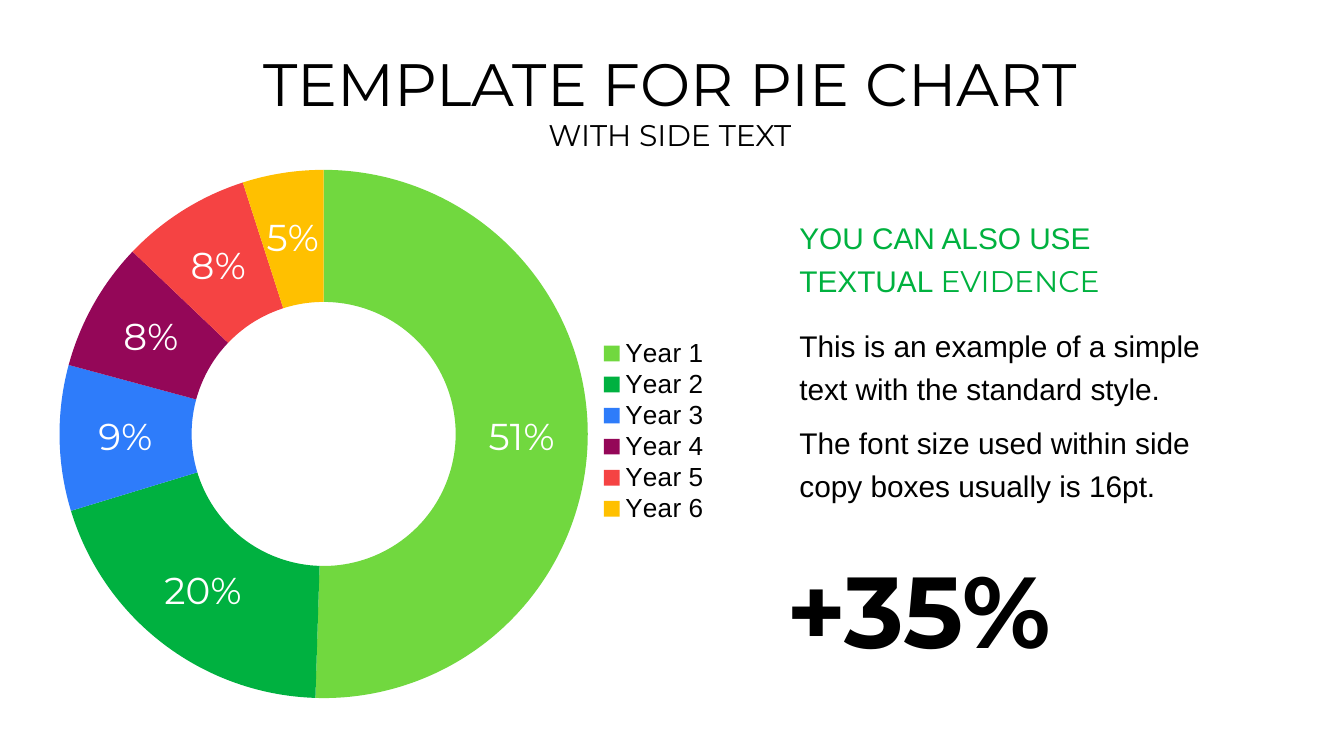
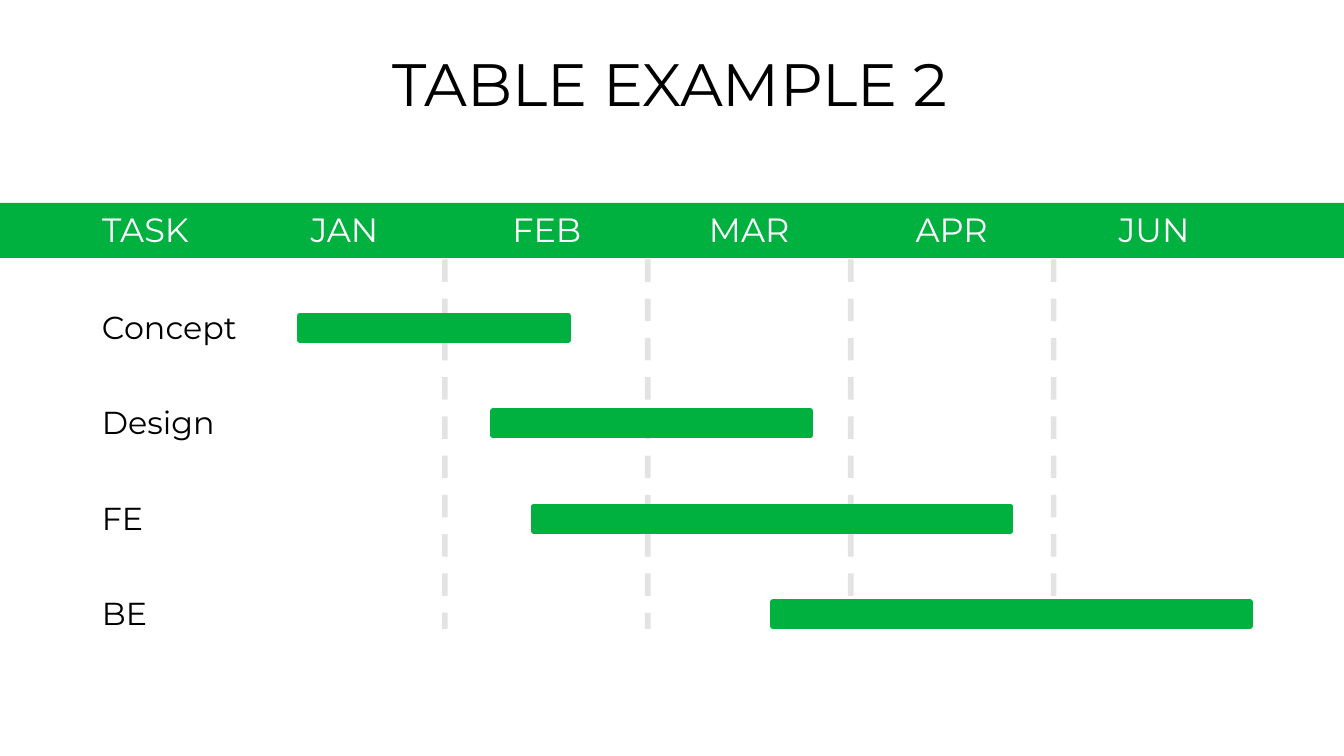
from pptx import Presentation
from pptx.chart.data import CategoryChartData
from pptx.dml.color import RGBColor
from pptx.enum.chart import XL_CHART_TYPE, XL_LEGEND_POSITION
from pptx.enum.dml import MSO_LINE
from pptx.enum.shapes import MSO_CONNECTOR, MSO_SHAPE
from pptx.enum.text import MSO_ANCHOR, MSO_AUTO_SIZE, PP_ALIGN
from pptx.oxml import parse_xml
from pptx.oxml.ns import nsdecls, qn
from pptx.util import Inches, Pt
from lxml.etree import SubElement

GREEN, BLACK, WHITE, GREY = "00B140", "000000", "FFFFFF", "595959"
SANS, HEAD = "Arial", "Montserrat"
WIDE = 10
TITLE = (0.63, 0.45, 8.71, 0.29)
PLAIN = "{2D5ABB26-0587-4C30-8999-92F81FD0307C}"


def color(code):
    return RGBColor.from_string(code)


def put(item, values):
    for name, value in values.items():
        setattr(item, name, value)


def style(font, size, tint=BLACK, face=HEAD, bold=False):
    put(font, {"size": Pt(size), "name": face, "bold": bold})
    font.color.rgb = color(tint)


def write(para, runs, form):
    put(para, form)
    for words, look in runs:
        run = para.add_run()
        run.text = words
        style(run.font, **look)


def text(slide, box, paras, frame):
    body = slide.shapes.add_textbox(*map(Inches, box)).text_frame
    put(body, {"word_wrap": True, **frame})
    for i, (runs, form) in enumerate(paras):
        para = body.add_paragraph() if i else body.paragraphs[0]
        write(para, runs, form)


def edges(left, top, right, bottom):
    return {"margin_left": Inches(left), "margin_top": Inches(top),
            "margin_right": Inches(right), "margin_bottom": Inches(bottom)}


def title(slide, words, box=TITLE):
    form = {"alignment": PP_ALIGN.CENTER, "line_spacing": 0.8}
    text(slide, box, [([(words, {"size": 32})], form)], edges(0, 0, 0, 0))


def under(slide, words, box):
    frame = {**edges(0, 0, 0, 0), "vertical_anchor": MSO_ANCHOR.MIDDLE}
    form = {"alignment": PP_ALIGN.CENTER}
    text(slide, box, [([(words, {"size": 16})], form)], frame)


def block(slide, box, tint):
    shape = slide.shapes.add_shape(MSO_SHAPE.RECTANGLE, *map(Inches, box))
    shape.shadow.inherit = False
    shape.fill.solid()
    shape.fill.fore_color.rgb = color(tint)
    shape.line.fill.background()
    return shape


def place(part, index, **spots):
    for old in part.findall(qn("c:layout")):
        part.remove(old)
    layout = parse_xml(f"<c:layout {nsdecls('c')}/>")
    manual = SubElement(layout, qn("c:manualLayout"))
    SubElement(manual, qn("c:layoutTarget")).set("val", "inner")
    for axis in "xy":
        SubElement(manual, qn(f"c:{axis}Mode")).set("val", "edge")
    for name, value in spots.items():
        SubElement(manual, qn(f"c:{name}")).set("val", str(value))
    part.insert(index, layout)


def donut(slide, box):
    parts = [(51, "71D83F"), (20, GREEN), (9, "2E7CFA"),
             (8, "940758"), (8, "F54343"), (5, "FFC000")]
    data = CategoryChartData()
    data.categories = [f"Year {i + 1}" for i in range(len(parts))]
    data.add_series("Series 1", [value for value, tint in parts])
    chart = slide.shapes.add_chart(
        XL_CHART_TYPE.DOUGHNUT, *map(Inches, box), data).chart
    put(chart, {"has_title": False, "has_legend": True})
    style(chart.font, 18, face=SANS)
    put(chart.legend, {"position": XL_LEGEND_POSITION.RIGHT,
                       "include_in_layout": False})
    style(chart.legend.font, 14, face=SANS)
    plot = chart.plots[0]
    plot.vary_by_categories = True
    series = plot.series[0]
    for i, (value, tint) in enumerate(parts):
        fill = series.points[i].format.fill
        fill.solid()
        fill.fore_color.rgb = color(tint)
    labels = series.data_labels
    put(labels, {"show_value": True, "number_format": '0"%"',
                 "number_format_is_linked": False})
    style(labels.font, 20, WHITE)
    area = chart._chartSpace.chart.plotArea
    place(area, 0, x=0.05, y=0.03, w=0.72, h=0.94)
    place(chart.legend._element, 1, x=0.76, y=0.33, w=0.2, h=0.33)


def aside(slide, box):
    left, top, width, height = box
    form = {"line_spacing": 1.2}
    gap = {**form, "space_before": Pt(6)}
    lead = {"size": 16, "tint": "00B13F"}
    copy = {"size": 16, "face": SANS}
    text(slide, (left, top + 2.32, 3.06, 1.74),
         [([("+35%", {"size": 54, "bold": True})], form)],
         edges(0, 0.05, 0.1, 0))
    text(slide, box, [
        ([("YOU CAN ALSO USE TEXTUAL ", {**lead, "face": SANS}),
          ("EVIDENCE", lead)], {**form, "space_after": Pt(6)}),
        ([("This is an example of a simple text with the standard style.",
           copy)], gap),
        ([("The font size used within side copy boxes usually is 16pt.",
           copy)], gap)], {})


def months(slide, box):
    left, top, width, height = box
    block(slide, (0, top, WIDE, height), GREEN)
    names = ["TASK", "JAN", "FEB", "MAR", "APR", "JUN"]
    table = slide.shapes.add_table(
        1, len(names), *map(Inches, box)).table
    put(table, {"first_row": False, "horz_banding": False})
    table._tbl.tblPr.find(qn("a:tableStyleId")).text = PLAIN
    first = 1.15
    rest = (width - first) / (len(names) - 1)
    for i, name in enumerate(names):
        table.columns[i].width = Inches(rest if i else first)
        cell = table.cell(0, i)
        cell.fill.background()
        cell.vertical_anchor = MSO_ANCHOR.MIDDLE
        side = PP_ALIGN.CENTER if i else PP_ALIGN.LEFT
        write(cell.text_frame.paragraphs[0],
              [(name, {"size": 18, "tint": WHITE})], {"alignment": side})


def rule(slide, x, top, end):
    line = slide.shapes.add_connector(
        MSO_CONNECTOR.STRAIGHT, *map(Inches, (x, top, x, end)))
    put(line.line, {"width": Pt(3), "dash_style": MSO_LINE.DASH})
    line.line.color.rgb = color(GREY)
    tint = line._element.spPr.find(".//" + qn("a:srgbClr"))
    SubElement(tint, qn("a:alpha")).set("val", "17000")
    SubElement(line._element.spPr, qn("a:effectLst"))


def tasks(slide, box):
    left, top, width, height = box
    for i in range(4):
        rule(slide, left + 2.65 + 1.51 * i, top, top + height)
    rows = [("Concept", 1.57, 2, 1.29), ("Design", 3.01, 2.36, 1.09),
            ("FE", 3.31, 3.55, 0.53), ("BE", 5.09, 3.55, 0.56)]
    frame = {"word_wrap": False, "auto_size": MSO_AUTO_SIZE.SHAPE_TO_FIT_TEXT}
    for i, (name, start, span, room) in enumerate(rows):
        y = top + 0.31 + 0.71 * i
        bar = block(slide, (left + start, y + 0.11, span, 0.18), GREEN)
        bar.line.color.rgb = color(GREEN)
        bar.line.width = Pt(3)
        text(slide, (left, y, room, 0.39),
             [([(name, {"size": 17})], {"alignment": PP_ALIGN.LEFT})], frame)


def share(slide):
    title(slide, "TEMPLATE FOR PIE CHART")
    under(slide, "WITH SIDE TEXT", (0.63, 0.82, 8.71, 0.36))
    donut(slide, (0.17, 1.11, 5.46, 4.24))
    aside(slide, (5.85, 1.53, 3.27, 3.32))


def plan(slide):
    title(slide, "TABLE EXAMPLE 2")
    months(slide, (0.66, 1.51, 8.68, 0.41))
    tasks(slide, (0.66, 1.93, 8.68, 2.75))


def main():
    deck = Presentation()
    put(deck, {"slide_width": Inches(WIDE),
               "slide_height": Inches(WIDE * 9 / 16)})
    for build in (share, plan):
        build(deck.slides.add_slide(deck.slide_layouts[6]))
    deck.save("out.pptx")


if __name__ == "__main__":
    main()
